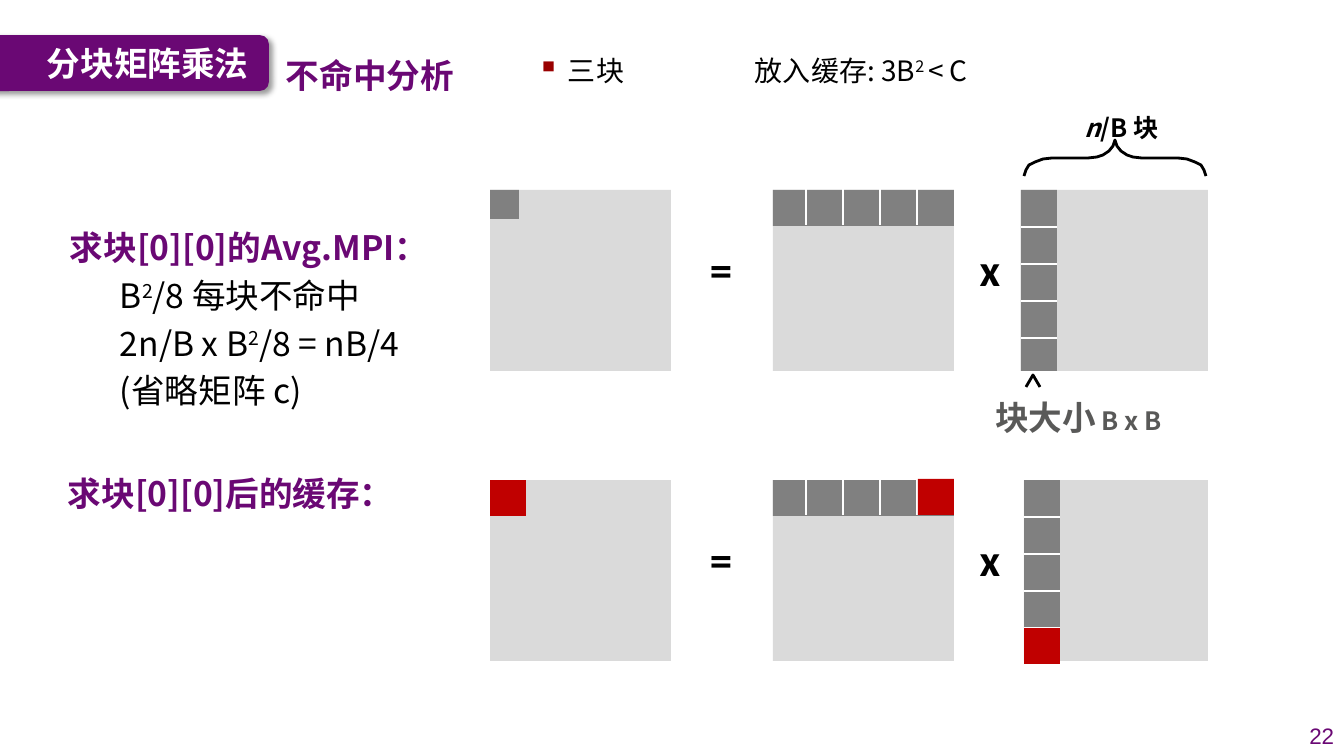
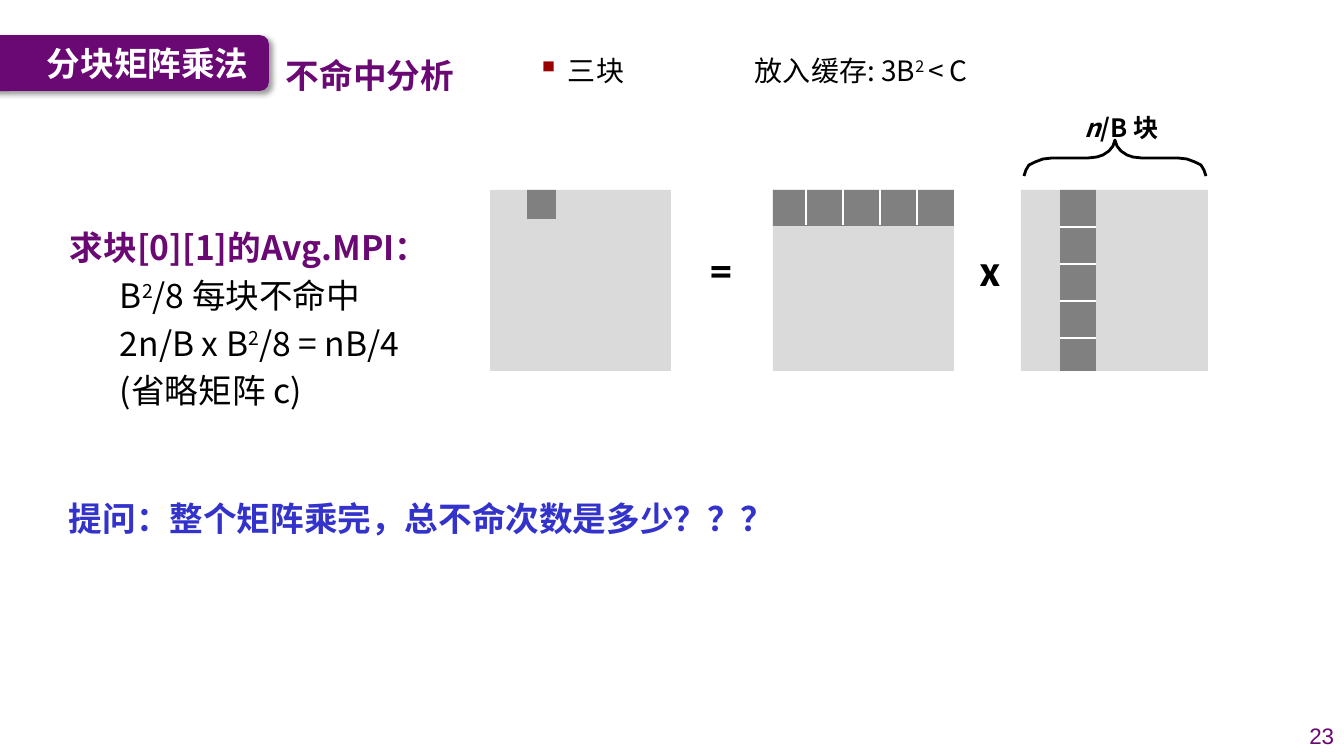
"""Two slides on cache misses in blocked matrix multiplication."""
from lxml import etree
from pptx import Presentation
from pptx.dml.color import RGBColor
from pptx.enum.shapes import MSO_CONNECTOR, MSO_SHAPE
from pptx.enum.text import MSO_ANCHOR, PP_ALIGN
from pptx.oxml import parse_xml
from pptx.oxml.ns import qn
from pptx.util import Pt

PX = 9071
NS = 'xmlns:a="http://schemas.openxmlformats.org/drawingml/2006/main"'
CJK = "Noto Sans CJK SC"
PURPLE, BLACK, WHITE = "6A0874", "000000", "FFFFFF"
LIGHT, DARK, RED = "DADADA", "808080", "C00000"
LEFT, CENTER, RIGHT = PP_ALIGN.LEFT, PP_ALIGN.CENTER, PP_ALIGN.RIGHT
color = RGBColor.from_string


def write(slide, box, lines, size=24, ink=PURPLE, bold=True, font=CJK, align=LEFT, leading=None,
          inset=True, middle=False, margin=0, indent=0, raised=30000, extras=()):
    """Add a text box; runs are split by |, and every second one is raised."""
    frame = slide.shapes.add_textbox(*(n * PX for n in box)).text_frame
    frame.word_wrap = True
    if middle:
        frame.vertical_anchor = MSO_ANCHOR.MIDDLE
    if not inset:
        frame.margin_left = frame.margin_right = frame.margin_top = frame.margin_bottom = 0
    for i, line in enumerate(lines):
        paragraph = frame.add_paragraph() if i else frame.paragraphs[0]
        properties = paragraph._p.get_or_add_pPr()
        properties.set("marL", str(margin * PX))
        properties.set("indent", str(0 if i else indent * PX))
        for extra in extras:
            properties.append(parse_xml(extra))
        paragraph.alignment = align
        if leading:
            paragraph.line_spacing = Pt(leading)
        if i:
            paragraph.space_before = Pt(5)
        paragraph.font.size = Pt(size)
        paragraph.font.bold = bold
        paragraph.font.color.rgb = color(ink)
        paragraph.font.name = font
        etree.SubElement(paragraph.font._rPr, qn("a:ea"), typeface=font)
        for j, part in enumerate(line.split("|")):
            run = paragraph.add_run()
            run.text = part
            if j % 2 and raised:
                run.font._rPr.set("baseline", str(raised))
    return frame.paragraphs


def block(slide, left, top, width, height, fill, kind=MSO_SHAPE.RECTANGLE):
    """Add a plain filled shape."""
    shape = slide.shapes.add_shape(kind, left * PX, top * PX, width * PX, height * PX)
    shape.shadow.inherit = False
    shape.fill.solid()
    shape.fill.fore_color.rgb = color(fill)
    shape.line.fill.background()
    return shape


SIDE, CELL, STEP = 181, 36, 37
C_LEFT, A_LEFT, B_RIGHT = 490, 773, 1208
BULLET = (
    f'<a:buClr {NS}><a:srgbClr val="990000"/></a:buClr>',
    f'<a:buSzPct {NS} val="110000"/>',
    f'<a:buChar {NS} char="▪"/>',
    f'<a:tabLst {NS}><a:tab pos="{271 * PX}" algn="l"/></a:tabLst>',
)
BANNER_SHADOW = (
    f'<a:effectLst {NS}><a:outerShdw blurRad="50800" dist="38100" dir="2700000" algn="tl" rotWithShape="0">'
    '<a:srgbClr val="000000"><a:alpha val="40000"/></a:srgbClr></a:outerShdw></a:effectLst>'
)
half_brace = [(91, 176), (89, 170), (86, 165), (80, 162), (72, 159), (63, 158),
              (27, 158), (18, 157), (12, 155), (6, 151), (2, 146), (0, 140)]
brace = [(1115 - x, y) for x, y in half_brace] + [(1115 + x, y) for x, y in half_brace[-2::-1]]
caret = [(1026, 387), (1033, 375), (1040, 387)]

pages = [
    {"number": "22", "index": "[0][0]", "outlines": [brace, caret],
     "rows": [{"top": 190, "base": 1021, "strip": 1021, "result": (C_LEFT, 29, DARK), "cached": False},
              {"top": 480, "base": 1024, "strip": 1024, "result": (C_LEFT, CELL, RED), "cached": True}],
     "closing": ((57, 468, 487, 50), "求块[0][0]后的缓存：", PURPLE)},
    {"number": "23", "index": "[0][1]", "outlines": [brace],
     "rows": [{"top": 190, "base": 1021, "strip": 1060, "result": (527, 29, DARK), "cached": False}],
     "closing": ((58, 493, 708, 50), "提问：整个矩阵乘完，总不命次数是多少？？？", "3333CC")},
]

deck = Presentation()
deck.slide_width, deck.slide_height = 1344 * PX, 756 * PX

for page in pages:
    slide = deck.slides.add_slide(deck.slide_layouts[6])
    banner = block(slide, -20, 35, 289, 56, PURPLE, MSO_SHAPE.ROUNDED_RECTANGLE)
    properties = banner._element.spPr
    properties.replace(properties.find(qn("a:effectLst")), parse_xml(BANNER_SHADOW))
    write(slide, (37, 35, 232, 56), ["分块矩阵乘法"], ink=WHITE, middle=True)
    write(slide, (1288, 716, 56, 40), [page["number"]], 16, bold=False, font="Arial",
          align=RIGHT, middle=True)
    write(slide, (275, 29, 215, 64), ["不命中分析"], leading=44, margin=1)
    write(slide, (484, 53, 515, 34), ["三块\t放入缓存: 3B|2 |< C"], 20, BLACK, False, leading=24,
          inset=False, margin=84, indent=-31, extras=BULLET)

    for row in page["rows"]:
        top, strip = row["top"], row["strip"]
        block(slide, C_LEFT, top, SIDE, SIDE, LIGHT)
        block(slide, A_LEFT, top, SIDE, SIDE, LIGHT)
        block(slide, row["base"], top, B_RIGHT - row["base"], SIDE, LIGHT)
        result_left, result_side, result_fill = row["result"]
        block(slide, result_left, top, result_side, result_side, result_fill)
        block(slide, A_LEFT, top, SIDE, CELL, DARK)
        block(slide, strip, top, CELL, SIDE, DARK)
        for i in range(4):
            x, y = 806 + STEP * i, top + STEP * (i + 1)
            for ends in ((x, top - 2, x, top + 35), (strip, y, strip + CELL, y)):
                gap = slide.shapes.add_connector(MSO_CONNECTOR.STRAIGHT, *(n * PX for n in ends))
                gap.line.color.rgb = color(WHITE)
                gap.line.width = Pt(2)
                etree.SubElement(gap._element.spPr, qn("a:effectLst"))
        if row["cached"]:
            block(slide, 918, top - 1, CELL, CELL, RED)
            block(slide, strip, top + 148, CELL, CELL, RED)
        for left, width, sign in ((703, 36, "="), (973, 34, "x")):
            write(slide, (left, top + 52, width, 82), [sign], 32, BLACK, font="Calibri",
                  align=CENTER, inset=False)

    for outline in page["outlines"]:
        builder = slide.shapes.build_freeform(*outline[0], scale=PX)
        builder.add_line_segments(outline[1:], close=False)
        stroke = builder.convert_to_shape()
        stroke.shadow.inherit = False
        stroke.fill.background()
        stroke.line.color.rgb = color(BLACK)
        stroke.line.width = Pt(2)
    block_count = write(slide, (1065, 112, 113, 30), ["n|/B 块"], 18, BLACK, align=CENTER,
                        leading=22, inset=False, raised=0)
    block_count[0].runs[0].font.italic = True
    if caret in page["outlines"]:
        block_size = write(slide, (963, 397, 231, 40), ["块大小| B x B"], ink="595958", align=CENTER,
                           leading=29, inset=False, raised=0)
        block_size[0].runs[1].font.size = Pt(18)

    analysis = write(slide, (59, 222, 487, 195),
                     [f"求块{page['index']}的Avg.MPI：", "B|2|/8 每块不命中", "2n/B x B|2|/8 = nB/4", "(省略矩阵 c)"],
                     leading=29, margin=51, indent=-50)
    for step in analysis[1:]:
        step.font.bold = False
        step.font.color.rgb = color(BLACK)
    closing_box, closing_text, closing_ink = page["closing"]
    write(slide, closing_box, [closing_text], ink=closing_ink, leading=29, margin=51, indent=-50)

deck.save("out.pptx")
